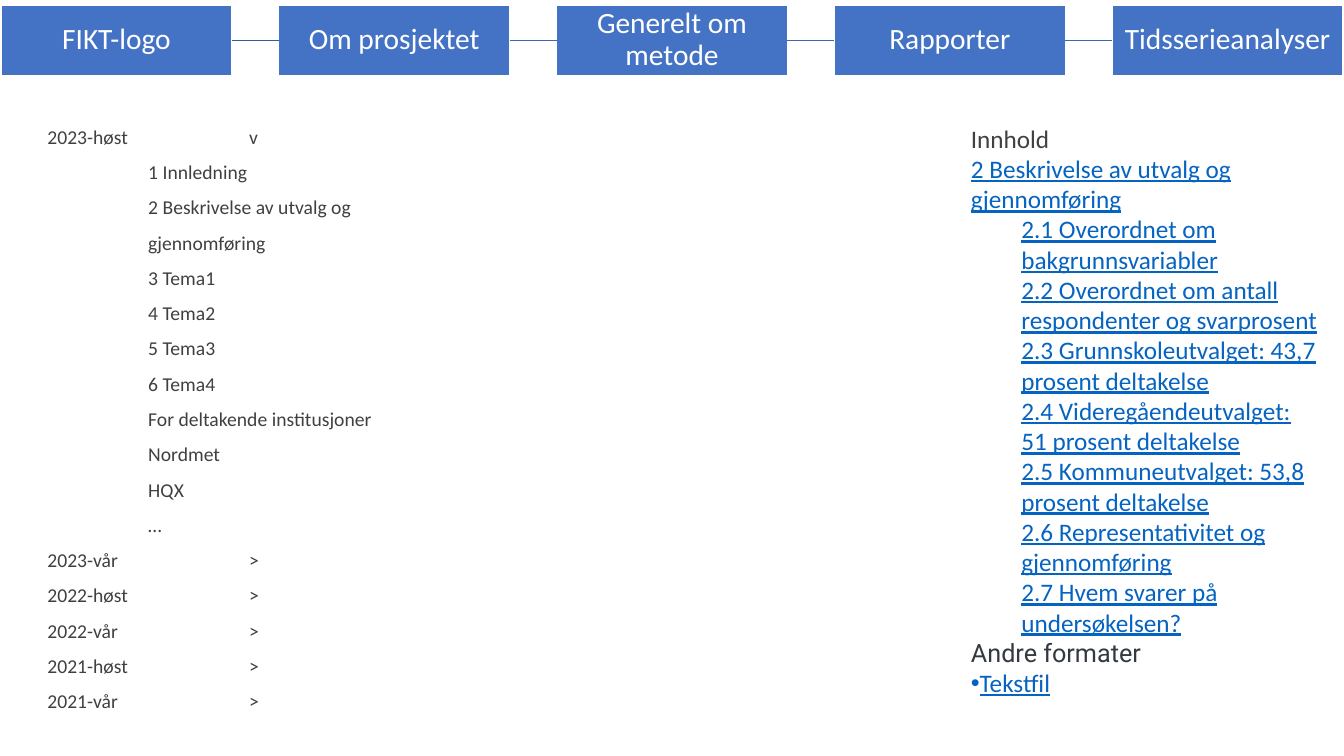
from dataclasses import dataclass

from lxml.etree import SubElement
from pptx import Presentation
from pptx.dml.color import RGBColor
from pptx.enum.shapes import MSO_CONNECTOR as Connector, MSO_SHAPE as Shape
from pptx.enum.text import MSO_ANCHOR as Anchor, MSO_AUTO_SIZE as AutoSize, PP_ALIGN as Align
from pptx.oxml.ns import qn
from pptx.util import Inches, Pt


@dataclass(frozen=True)
class Theme:
    font: str = "Calibri"
    heading_font: str = "Roboto"
    box: str = "4472C4"
    white: str = "FFFFFF"
    first_line: str = "365B9D"
    line: str = "3E67B2"
    text: str = "404040"
    heading: str = "333940"
    link: str = "0563C1"
    menu_size: int = 21
    report_size: int = 14
    content_size: int = 18


theme = Theme()


def write(paragraph, text, size, color=theme.text, font=theme.font, underline=False,
          align=Align.LEFT, spacing=1.0, level=0, bullet=None):
    paragraph.alignment = align
    paragraph.line_spacing = spacing
    paragraph.space_before = paragraph.space_after = Pt(0)
    paragraph.level = level
    run = paragraph.add_run()
    run.text = text
    run.font.name = font
    run.font.size = Pt(size)
    run.font.underline = underline
    run.font.color.rgb = RGBColor.from_string(color)
    # Indent, tab distance and bullet
    properties = paragraph._p.get_or_add_pPr()
    properties.set("marL", str(Inches(0.5 * level)))
    properties.set("indent", "0")
    properties.set("defTabSz", str(Inches(1)))
    if bullet:
        SubElement(properties, qn("a:buFont"), typeface="Arial")
        SubElement(properties, qn("a:buChar"), char=bullet)
    else:
        SubElement(properties, qn("a:buNone"))


def fill_list(placeholder, left, top, width, height, entries):
    placeholder.left, placeholder.top = Inches(left), Inches(top)
    placeholder.width, placeholder.height = Inches(width), Inches(height)
    frame = placeholder.text_frame
    frame.word_wrap = True
    frame.auto_size = AutoSize.SHAPE_TO_FIT_TEXT
    for index, (text, options) in enumerate(entries):
        paragraph = frame.add_paragraph() if index else frame.paragraphs[0]
        write(paragraph, text, **options)


presentation = Presentation()
presentation.slide_width = Inches(13.33)
presentation.slide_height = Inches(7.5)
slide = presentation.slides.add_slide(presentation.slide_layouts[3])
title, reports, contents = slide.placeholders
title.element.getparent().remove(title.element)

# Report list
report_lines = ["2023-høst\t\tv"]
report_lines += ["\t" + chapter for chapter in (
    "1 Innledning", "2 Beskrivelse av utvalg og", "gjennomføring",
    "3 Tema1", "4 Tema2", "5 Tema3", "6 Tema4",
    "For deltakende institusjoner", "Nordmet", "HQX", "…")]
report_lines += [term + "\t\t>" for term in (
    "2023-vår", "2022-høst", "2022-vår", "2021-høst", "2021-vår")]
report_format = dict(size=theme.report_size, spacing=1.5)
fill_list(reports, 0.37, 1.07, 3.66, 6.07,
          [(line, report_format) for line in report_lines])

# Menu boxes, each joined to the one before
menu = ["FIKT-logo", "Om prosjektet", "Generelt om metode", "Rapporter", "Tidsserieanalyser"]
first_left, last_left = 0.01, 11.03
pitch = (last_left - first_left) / (len(menu) - 1)
previous = None
for index, label in enumerate(menu):
    box = slide.shapes.add_shape(Shape.RECTANGLE, Inches(first_left + index * pitch),
                                 Inches(0.05), Inches(2.29), Inches(0.7))
    box.shadow.inherit = False
    box.fill.solid()
    box.fill.fore_color.rgb = RGBColor.from_string(theme.box)
    box.line.color.rgb = RGBColor.from_string(theme.white)
    box.line.width = Pt(1)
    frame = box.text_frame
    frame.word_wrap = True
    frame.vertical_anchor = Anchor.MIDDLE
    frame.margin_left = frame.margin_right = Inches(0.01)
    frame.margin_top = frame.margin_bottom = Inches(0.01)
    write(frame.paragraphs[0], label, size=theme.menu_size, color=theme.white,
          align=Align.CENTER, spacing=0.9)
    if previous is not None:
        link = slide.shapes.add_connector(Connector.STRAIGHT, 0, 0, 0, 0)
        link.begin_connect(previous, 3)
        link.end_connect(box, 1)
        line_color = theme.first_line if index == 1 else theme.line
        link.line.color.rgb = RGBColor.from_string(line_color)
        link.line.width = Pt(1)
        SubElement(link.element.spPr, qn("a:effectLst"))
    previous = box

# Table of contents
plain = dict(size=theme.content_size)
linked = dict(plain, color=theme.link, underline=True)
sections = [
    "2.1 Overordnet om bakgrunnsvariabler",
    "2.2 Overordnet om antall respondenter og svarprosent",
    "2.3 Grunnskoleutvalget: 43,7 prosent deltakelse",
    "2.4 Videregåendeutvalget: 51 prosent deltakelse",
    "2.5 Kommuneutvalget: 53,8 prosent deltakelse",
    "2.6 Representativitet og gjennomføring",
    "2.7 Hvem svarer på undersøkelsen?",
]
fill_list(contents, 9.53, 1.17, 3.66, 6.16, [
    ("Innhold", plain),
    ("2 Beskrivelse av utvalg og gjennomføring", linked),
    *[(section, dict(linked, level=1)) for section in sections],
    ("Andre formater", dict(plain, color=theme.heading, font=theme.heading_font)),
    ("Tekstfil", dict(linked, bullet="•")),
])

presentation.save("out.pptx")
